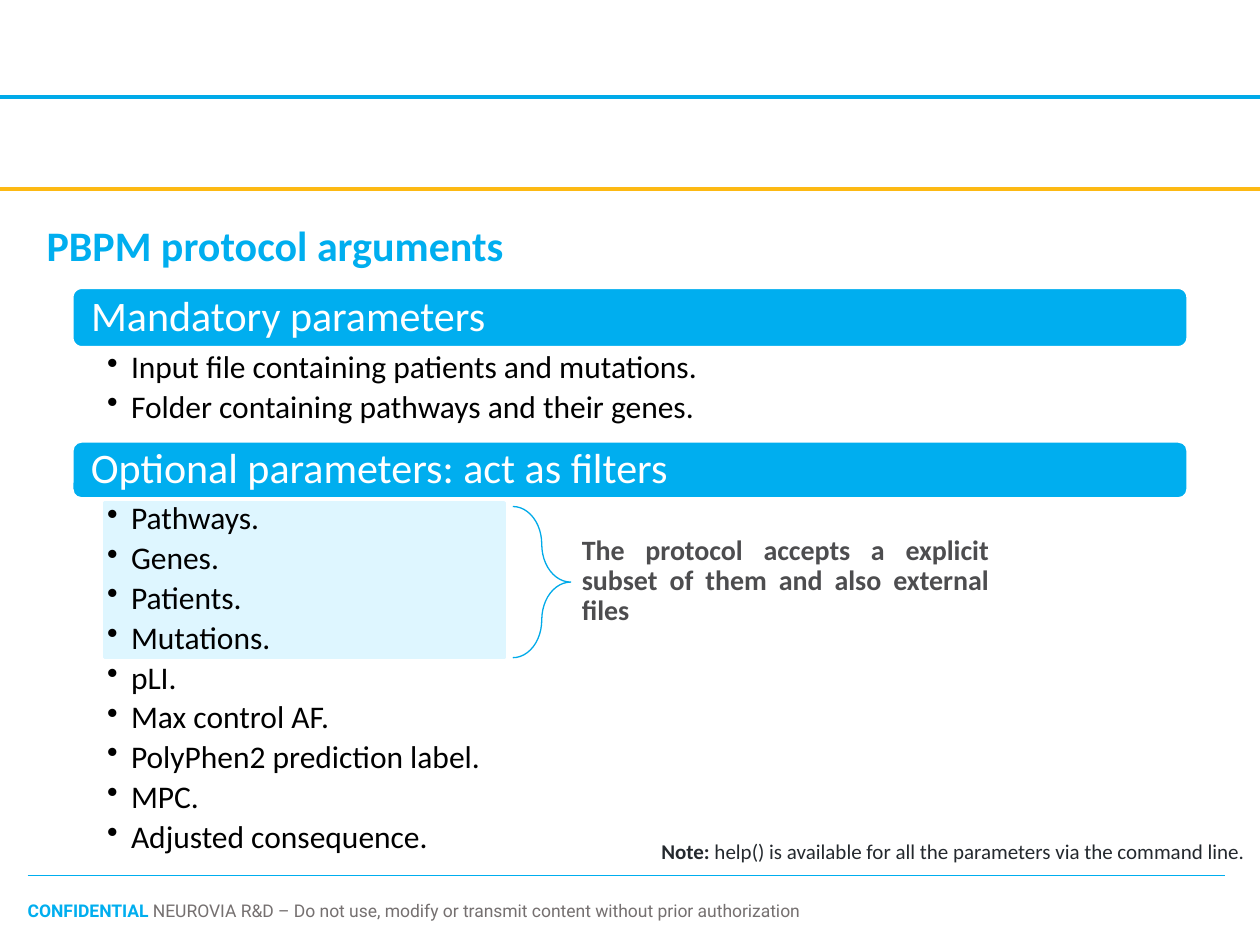
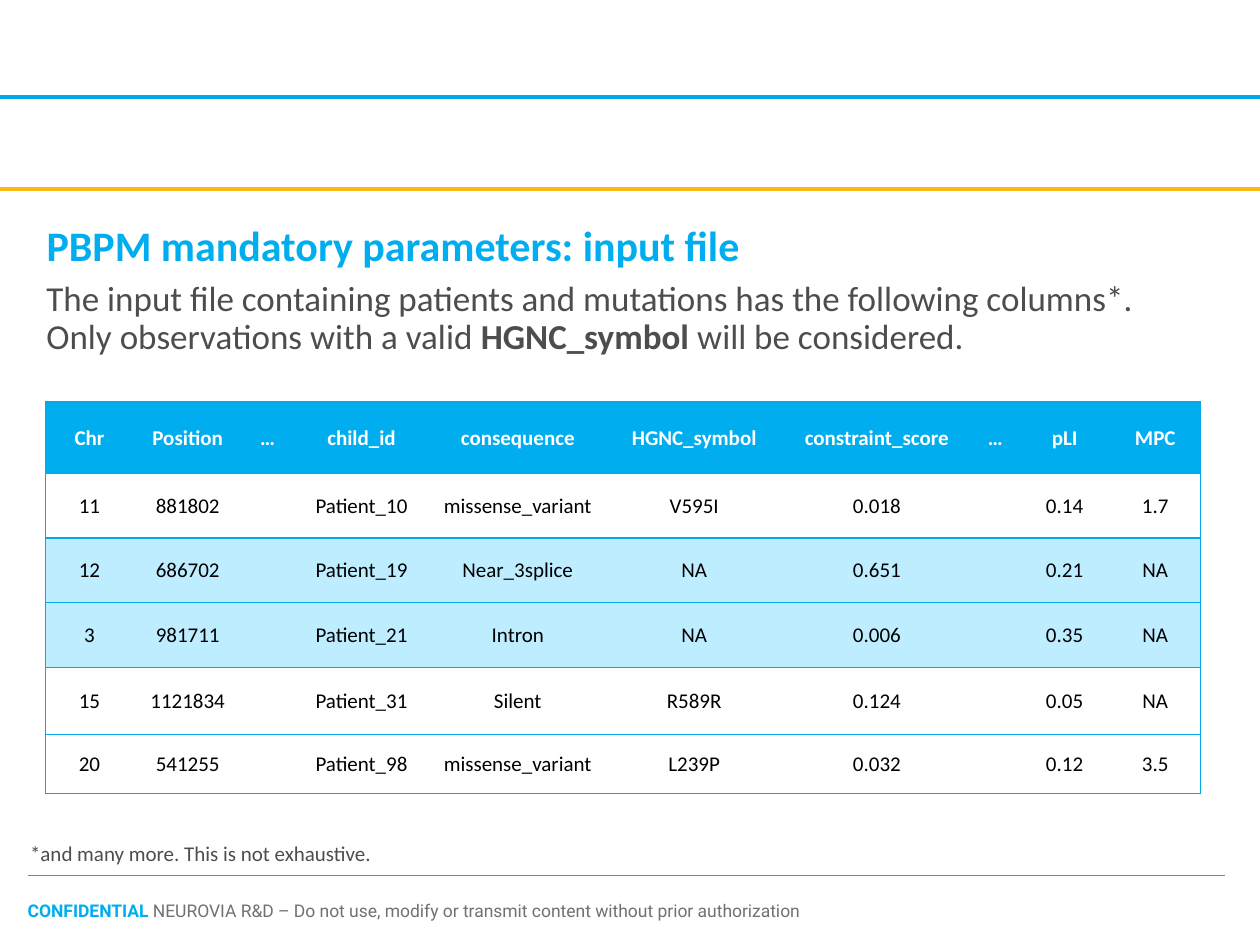
import dataclasses
import typing

import lxml.etree
import pptx
import pptx.dml.color
import pptx.enum.dml
import pptx.enum.shapes
import pptx.enum.text
import pptx.oxml.ns
import pptx.util

SLIDE_WIDTH = pptx.util.Inches(10)
SLIDE_HEIGHT = pptx.util.Inches(7.5)
COLUMN = SLIDE_WIDTH // 100
ROW = SLIDE_HEIGHT // 75
TITLE_ONLY = 5
NO_GRID_STYLE = "{2D5ABB26-0587-4C30-8999-92F81FD0307C}"

COLORS = {
    "brand": "00AEEF",
    "rule": "00AAE9",
    "gold": "FDB913",
    "highlight": "DEF6FF",
    "excluded": "BEEDFF",
    "white": "FFFFFF",
    "black": "000000",
    "body": "4D4D4F",
    "note": "24292E",
    "footer": "757070",
}

ALIGN = pptx.enum.text.PP_ALIGN
ANCHOR = pptx.enum.text.MSO_ANCHOR
SHAPE = pptx.enum.shapes.MSO_SHAPE


class Frame(typing.NamedTuple):
    """A place on the grid of 100 columns and 75 rows."""

    column: float
    row: float
    columns: float
    rows: float

    def lengths(self) -> tuple[int, int, int, int]:
        """Return left, top, width and height."""
        return (round(self.column * COLUMN), round(self.row * ROW),
                round(self.columns * COLUMN), round(self.rows * ROW))


class Rule(typing.NamedTuple):
    """A horizontal line across the slide."""

    start: float
    end: float
    row: float
    color: str
    weight: float


class Part(typing.NamedTuple):
    """A stretch of text with its own weight and, if given, colour."""

    text: str
    bold: bool = False
    color: str | None = None


@dataclasses.dataclass(frozen=True)
class Style:
    """How the paragraphs of a text look."""

    size: float
    color: str
    bold: bool = False
    name: str = "Calibri"
    align: ALIGN = ALIGN.LEFT
    anchor: ANCHOR = ANCHOR.MIDDLE
    line_spacing: float = 0.9
    space_after: float = 0
    bullet: bool = False
    insets: tuple[float, float, float, float] = (0.1, 0.05, 0.1, 0.05)


@dataclasses.dataclass(frozen=True)
class Section:
    """A coloured heading bar above a bulleted list."""

    heading: str
    bar: Frame
    items: tuple[str, ...]
    list_rows: float


Line = str | tuple[Part, ...]

TITLE = Style(24, "brand", bold=True)
BAR = Style(24, "white", insets=(0.13, 0, 0.1, 0))
ITEM = Style(18, "black", anchor=ANCHOR.TOP, space_after=3.3, bullet=True,
             insets=(0.28, 0.03, 0.14, 0.03))
REMARK = Style(16, "body", bold=True, align=ALIGN.JUSTIFY)
NOTE = Style(12, "note", anchor=ANCHOR.TOP, line_spacing=1)
INTRODUCTION = Style(20, "body", align=ALIGN.JUSTIFY)
FOOTNOTE = Style(12, "body", align=ALIGN.JUSTIFY)
FOOTER = Style(10, "footer", name="Roboto", anchor=ANCHOR.TOP, line_spacing=1,
               insets=(0, 0.05, 0.1, 0.05))
CELL = Style(12, "black", align=ALIGN.CENTER, line_spacing=1)
HEADER_CELL = dataclasses.replace(CELL, color="white", bold=True)

TITLE_FRAME = Frame(2.7, 17.2, 92.7, 4.9)
FOOTER_FRAME = Frame(2.2, 70.9, 81.8, 4.3)
FOOTER_LINE = (
    Part("CONFIDENTIAL ", True, "brand"),
    Part("NEUROVIA R&D – Do not use, modify or transmit content without prior authorization"),
)
RULES = (
    Rule(2.2, 97.2, 69.5, "brand", 0.75),
    Rule(0, 100, 7.7, "rule", 2.75),
    Rule(0, 100, 15, "gold", 2.75),
)

SECTIONS = (
    Section("Mandatory parameters", Frame(5.7, 22.8, 88.6, 4.8), (
        "Input file containing patients and mutations.",
        "Folder containing pathways and their genes.",
    ), 7.4),
    Section("Optional parameters: act as filters", Frame(5.7, 35, 88.6, 4.6), (
        "Pathways.", "Genes.", "Patients.", "Mutations.", "pLI.", "Max control AF.",
        "PolyPhen2 prediction label.", "MPC.", "Adjusted consequence.",
    ), 28.8),
)

TABLE_FRAME = Frame(3.6, 31.9, 91.7, 31.1)
TABLE_COLUMNS = (7, 8.6, 4.1, 10.8, 14, 14, 15, 3.8, 7.2, 7.2)
TABLE_ROWS = (5.7, 5.1, 5.1, 5.2, 5.3, 4.7)
OBSERVATIONS = (
    ("Chr", "Position", "…", "child_id", "consequence", "HGNC_symbol",
     "constraint_score", "…", "pLI", "MPC"),
    ("11", "881802", "", "Patient_10", "missense_variant", "V595I", "0.018", "", "0.14", "1.7"),
    ("12", "686702", "", "Patient_19", "Near_3splice", "NA", "0.651", "", "0.21", "NA"),
    ("3", "981711", "", "Patient_21", "Intron", "NA", "0.006", "", "0.35", "NA"),
    ("15", "1121834", "", "Patient_31", "Silent", "R589R", "0.124", "", "0.05", "NA"),
    ("20", "541255", "", "Patient_98", "missense_variant", "L239P", "0.032", "", "0.12", "3.5"),
)
SYMBOL_COLUMN = OBSERVATIONS[0].index("HGNC_symbol")


def rgb(color: str) -> pptx.dml.color.RGBColor:
    """Return a named colour."""
    return pptx.dml.color.RGBColor.from_string(COLORS[color])


def add_element(parent, tag: str, **attributes: str):
    """Append a drawing element to its parent."""
    element = lxml.etree.SubElement(parent, pptx.oxml.ns.qn(tag))
    for name, value in attributes.items():
        element.set(name, value)
    return element


def add_bullet(paragraph) -> None:
    """Give a paragraph a hanging round bullet."""
    properties = paragraph._p.get_or_add_pPr()
    indent = pptx.util.Inches(0.19)
    properties.set("marL", str(indent))
    properties.set("indent", str(-indent))
    add_element(properties, "a:buChar", char="•")


def write_paragraph(paragraph, line: Line, style: Style) -> None:
    """Write one styled paragraph."""
    if style.bullet:
        add_bullet(paragraph)
    paragraph.alignment = style.align
    paragraph.line_spacing = style.line_spacing
    paragraph.space_before = pptx.util.Pt(0)
    paragraph.space_after = pptx.util.Pt(style.space_after)
    paragraph.font.name = style.name
    paragraph.font.size = pptx.util.Pt(style.size)
    paragraph.font.bold = style.bold
    paragraph.font.color.rgb = rgb(style.color)
    if isinstance(line, str):
        paragraph.add_run().text = line
        return
    for part in line:
        run = paragraph.add_run()
        run.text = part.text
        run.font.bold = part.bold
        if part.color:
            run.font.color.rgb = rgb(part.color)


def write_text(shape, lines: typing.Sequence[Line], style: Style) -> None:
    """Fill a shape with styled paragraphs."""
    text_frame = shape.text_frame
    text_frame.word_wrap = True
    text_frame.auto_size = pptx.enum.text.MSO_AUTO_SIZE.NONE
    text_frame.vertical_anchor = style.anchor
    (text_frame.margin_left, text_frame.margin_top, text_frame.margin_right,
     text_frame.margin_bottom) = map(pptx.util.Inches, style.insets)
    for index, line in enumerate(lines):
        paragraph = text_frame.add_paragraph() if index else text_frame.paragraphs[0]
        write_paragraph(paragraph, line, style)


def add_text(slide, frame: Frame, lines: typing.Sequence[Line], style: Style) -> None:
    """Add a text box."""
    write_text(slide.shapes.add_textbox(*frame.lengths()), lines, style)


def add_shape(slide, kind: SHAPE, frame: Frame, fill: str | None, line: str, weight: float):
    """Add a preset shape without a shadow."""
    shape = slide.shapes.add_shape(kind, *frame.lengths())
    shape.shadow.inherit = False
    if fill:
        shape.fill.solid()
        shape.fill.fore_color.rgb = rgb(fill)
    else:
        shape.fill.background()
    shape.line.color.rgb = rgb(line)
    shape.line.width = pptx.util.Pt(weight)
    return shape


def add_rule(slide, rule: Rule) -> None:
    """Add a horizontal line without a shadow."""
    height = round(rule.row * ROW)
    connector = slide.shapes.add_connector(
        pptx.enum.shapes.MSO_CONNECTOR.STRAIGHT,
        round(rule.start * COLUMN), height, round(rule.end * COLUMN), height)
    connector.line.color.rgb = rgb(rule.color)
    connector.line.width = pptx.util.Pt(rule.weight)
    add_element(connector._element.spPr, "a:effectLst")


def add_slide(presentation, title: str):
    """Add a slide with the shared rules, footer and title."""
    slide = presentation.slides.add_slide(presentation.slide_layouts[TITLE_ONLY])
    for rule in RULES:
        add_rule(slide, rule)
    add_text(slide, FOOTER_FRAME, [FOOTER_LINE], FOOTER)
    shape = slide.shapes.title
    shape.left, shape.top, shape.width, shape.height = TITLE_FRAME.lengths()
    write_text(shape, [title], TITLE)
    return slide


def add_section(slide, section: Section) -> None:
    """Add a heading bar and the list below it."""
    bar = add_shape(slide, SHAPE.ROUNDED_RECTANGLE, section.bar, "brand", "white", 2)
    write_text(bar, [section.heading], BAR)
    below = section.bar._replace(row=section.bar.row + section.bar.rows, rows=section.list_rows)
    add_text(slide, below, section.items, ITEM)


def add_borders(cell, sides: str) -> None:
    """Draw thin borders on the given sides of a cell."""
    properties = cell._tc.get_or_add_tcPr()
    for side in sides:
        border = add_element(properties, f"a:ln{side}", w=str(pptx.util.Pt(0.75)))
        fill = add_element(border, "a:solidFill")
        add_element(fill, "a:srgbClr", val=COLORS["rule"])


def add_observations(slide) -> None:
    """Add the table, shading rows that lack a valid symbol."""
    frame = slide.shapes.add_table(
        len(TABLE_ROWS), len(TABLE_COLUMNS), *TABLE_FRAME.lengths())
    next(frame._element.iter(pptx.oxml.ns.qn("a:tableStyleId"))).text = NO_GRID_STYLE
    table = frame.table
    for column, columns in zip(table.columns, TABLE_COLUMNS):
        column.width = round(columns * COLUMN)
    for row, rows in zip(table.rows, TABLE_ROWS):
        row.height = round(rows * ROW)
    last = len(TABLE_COLUMNS) - 1
    for row_index, values in enumerate(OBSERVATIONS):
        header = row_index == 0
        fill = "brand" if header else "excluded" if values[SYMBOL_COLUMN] == "NA" else None
        for column_index, value in enumerate(values):
            cell = table.cell(row_index, column_index)
            edge = {0: "L", last: "R"}.get(column_index, "")
            add_borders(cell, edge + "TB")
            cell.vertical_anchor = ANCHOR.MIDDLE
            if fill:
                cell.fill.solid()
                cell.fill.fore_color.rgb = rgb(fill)
            else:
                cell.fill.background()
            if value:
                write_paragraph(cell.text_frame.paragraphs[0], value,
                                HEADER_CELL if header else CELL)


def build_arguments(presentation) -> None:
    """Build the slide on protocol arguments."""
    slide = add_slide(presentation, "PBPM protocol arguments")
    add_shape(slide, SHAPE.RECTANGLE, Frame(8.3, 39.9, 31.7, 12.3), "highlight", "highlight", 2)
    brace = add_shape(slide, SHAPE.RIGHT_BRACE, Frame(40.7, 40.2, 4.6, 12), None, "rule", 0.75)
    brace.adjustments[0] = 0.66
    for section in SECTIONS:
        add_section(slide, section)
    add_text(slide, Frame(45.2, 42.1, 34.3, 8.1), [
        "The protocol accepts a explicit subset of them and also external files"], REMARK)
    add_text(slide, Frame(51.5, 66.1, 50, 3), [(
        Part("Note:", True),
        Part(" help() is available for all the parameters via the command line."))], NOTE)


def build_input_file(presentation) -> None:
    """Build the slide on the input file."""
    slide = add_slide(presentation, "PBPM mandatory parameters: input file")
    add_text(slide, Frame(2.7, 22.1, 92.7, 6.5), [
        "The input file containing patients and mutations has the following columns*.",
        (Part("Only observations with a valid "), Part("HGNC_symbol ", True),
         Part("will be considered."))], INTRODUCTION)
    add_observations(slide)
    add_text(slide, Frame(1.4, 65.4, 92.7, 4.9),
             ["*and many more. This is not exhaustive."], FOOTNOTE)


def main() -> None:
    """Build and save the presentation."""
    presentation = pptx.Presentation()
    presentation.slide_width = SLIDE_WIDTH
    presentation.slide_height = SLIDE_HEIGHT
    build_arguments(presentation)
    build_input_file(presentation)
    presentation.save("out.pptx")


if __name__ == "__main__":
    main()
